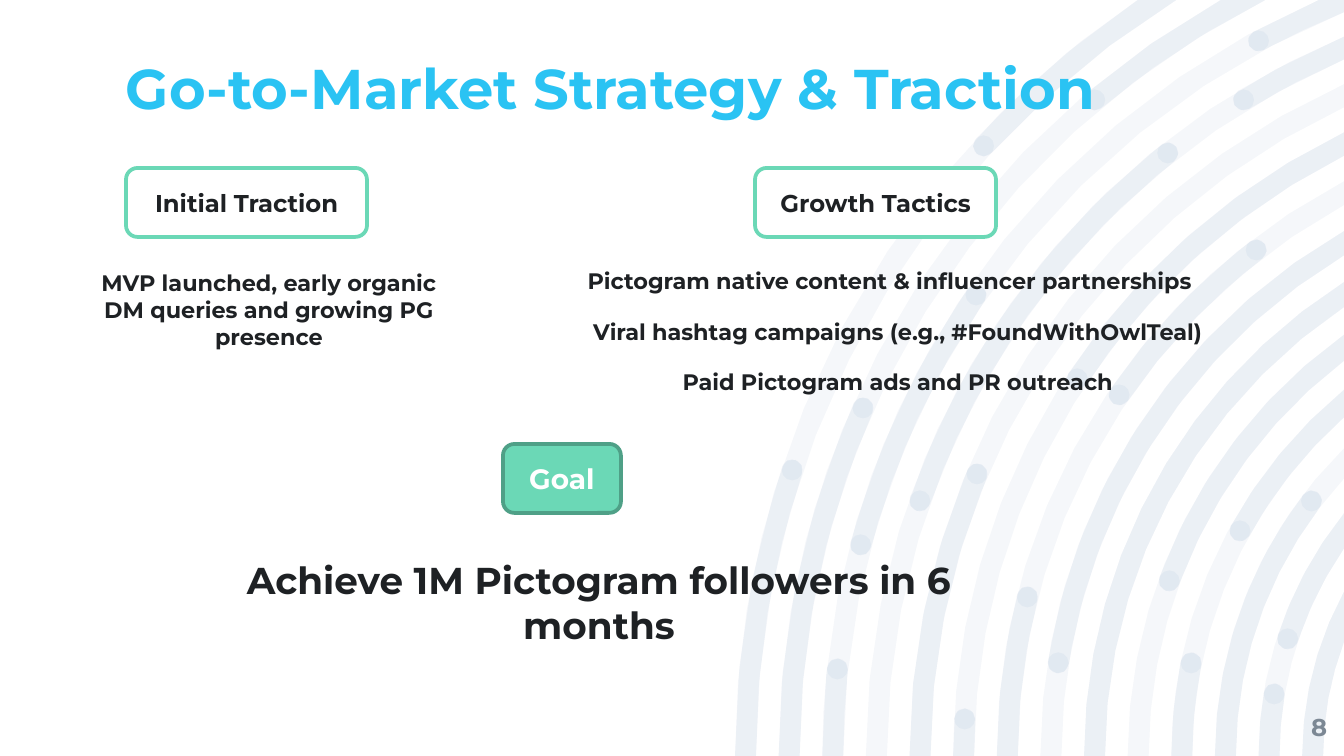
"""Build the go-to-market slide: title, tactics, goal and a backdrop of concentric arcs."""
import math
from dataclasses import dataclass

import pptx
import pptx.dml.color
import pptx.enum.shapes
import pptx.enum.text
import pptx.oxml
import pptx.oxml.ns
import pptx.util

WIDTH, HEIGHT = 1344, 756
PX = 9144000 / WIDTH
ALIGN = pptx.enum.text.PP_ALIGN
ANCHOR = pptx.enum.text.MSO_ANCHOR
AUTO = pptx.enum.text.MSO_AUTO_SIZE


@dataclass(frozen=True)
class Theme:
    font: str = "Montserrat"
    sky: str = "2AC3F3"
    gray: str = "7C8894"
    ink: str = "1E2124"
    white: str = "FFFFFF"
    mint: str = "6BD8B6"
    green: str = "4FA087"
    arc: str = "004591"
    arc_opacity: int = 4
    title: int = 30
    goal: int = 20
    goal_label: int = 15
    label: int = 13
    body: int = 12
    outline: int = 2


THEME = Theme()

TITLE = ("Go-to-Market Strategy & Traction", (126, 64, 1093, 58))
PAGE_NUMBER = ("8", (1246, 698, 81, 58))
STATEMENTS = [
    ("MVP launched, early organic DM queries and growing PG presence", (73, 263, 392, 67), THEME.body),
    ("Pictogram native content & influencer partnerships", (554, 261, 672, 40), THEME.body),
    ("Viral hashtag campaigns (e.g., #FoundWithOwlTeal)", (562, 312, 672, 40), THEME.body),
    ("Paid Pictogram ads and PR outreach", (562, 362, 672, 40), THEME.body),
    ("Achieve 1M Pictogram followers in 6 months", (155, 551, 888, 59), THEME.goal),
]
LABELS = [
    ("Initial Traction", (126, 168, 241, 69), THEME.white, THEME.mint, THEME.ink, THEME.label),
    ("Growth Tactics", (755, 168, 241, 69), THEME.white, THEME.mint, THEME.ink, THEME.label),
    ("Goal", (503, 444, 118, 69), THEME.mint, THEME.green, THEME.white, THEME.goal_label),
]

CENTER_X = 1646
RING_COUNT, RING_RADIUS, RING_STEP, HALF_BAND = 14, 900.5, 43.63, 10.5
ARC_STEP, CAP_STEPS, DOT_STEPS = 0.1, 4, 12
FLOOR, EDGE = HEIGHT, 0
CORNER = (math.hypot(CENTER_X - WIDTH, HEIGHT), math.atan2(HEIGHT, CENTER_X - WIDTH))
ACCENTS = [
    (0, FLOOR, 470), (0, 146, EDGE), (1, FLOOR, 408), (1, 100, EDGE),
    (2, FLOOR, 669), (2, 545, 295), (2, 41, EDGE), (3, 501, 153), (3, 100, EDGE),
    (4, FLOOR, 474), (5, FLOOR, 719), (5, 379, EDGE), (6, FLOOR, 597), (6, 395, 250),
    (7, 663, EDGE), (8, FLOOR, EDGE), (9, 581, EDGE), (10, FLOOR, 663), (10, 531, EDGE),
    (11, FLOOR, 501), (12, FLOOR, 694), (12, 639, EDGE), (13, FLOOR, EDGE),
]


def color(value):
    return pptx.dml.color.RGBColor.from_string(value)


def apply(target, values):
    for name, value in values.items():
        setattr(target, name, value)


def emu(box):
    return [round(length * PX) for length in box]


def mid_radius(ring):
    return RING_RADIUS - ring * RING_STEP


def angle_at(ring, y):
    return math.asin((HEIGHT - y) / mid_radius(ring))


def edge_angle(radius):
    return min(math.acos((CENTER_X - WIDTH) / radius), math.asin(min(1, HEIGHT / radius)))


def to_point(radius, angle):
    return emu((CENTER_X - radius * math.cos(angle), HEIGHT - radius * math.sin(angle)))


def round_end(radius, angle, direction):
    turns = [math.pi * step / CAP_STEPS for step in range(1, CAP_STEPS)]
    return [(radius + direction * HALF_BAND * math.cos(turn),
             angle + direction * HALF_BAND * math.sin(turn) / radius) for turn in turns]


def band(ring, low, high):
    radius = mid_radius(ring)
    sides = []
    for side in (radius + HALF_BAND, radius - HALF_BAND):
        start = 0 if low == FLOOR else angle_at(ring, low)
        end = edge_angle(side) if high == EDGE else angle_at(ring, high)
        count = math.ceil((end - start) / ARC_STEP)
        sides.append([(side, start + (end - start) * step / count) for step in range(count + 1)])
    outer, inner = sides
    if high != EDGE:
        top = round_end(radius, outer[-1][1], 1)
    else:
        top = [CORNER] if abs(CORNER[0] - radius) < HALF_BAND else []
    bottom = [] if low == FLOOR else round_end(radius, outer[0][1], -1)
    return [to_point(*polar) for polar in outer + top + inner[::-1] + bottom]


def dot(ring, y):
    x = CENTER_X - mid_radius(ring) * math.cos(angle_at(ring, y))
    turns = [2 * math.pi * step / DOT_STEPS for step in range(DOT_STEPS)]
    return [emu((x + HALF_BAND * math.cos(turn), y + HALF_BAND * math.sin(turn))) for turn in turns]


def add_tinted(slide, contours):
    builder = slide.shapes.build_freeform(*contours[0][0], scale=1.0)
    for number, contour in enumerate(contours):
        if number:
            builder.move_to(*contour[0])
        builder.add_line_segments(contour[1:], close=True)
    shape = builder.convert_to_shape()
    shape.shadow.inherit = False
    shape.fill.solid()
    shape.fill.fore_color.rgb = color(THEME.arc)
    shape.line.fill.background()
    swatch = shape.element.spPr.find(".//" + pptx.oxml.ns.qn("a:srgbClr"))
    swatch.append(pptx.oxml.parse_xml(
        f'<a:alpha {pptx.oxml.ns.nsdecls("a")} val="{THEME.arc_opacity * 1000}"/>'))


def write(shape, text, size, ink, align, frame_format, line_spacing=None):
    apply(shape.text_frame, {"word_wrap": True, **frame_format})
    paragraph = shape.text_frame.paragraphs[0]
    apply(paragraph, {"alignment": align, "line_spacing": line_spacing})
    run = paragraph.add_run()
    run.text = text
    apply(run.font, {"name": THEME.font, "size": pptx.util.Pt(size), "bold": True})
    run.font.color.rgb = color(ink)


def add_text(slide, text, box, *style):
    write(slide.shapes.add_textbox(*emu(box)), text, *style)


def add_label(slide, text, box, fill, outline, ink, size):
    shape = slide.shapes.add_shape(pptx.enum.shapes.MSO_SHAPE.ROUNDED_RECTANGLE, *emu(box))
    shape.shadow.inherit = False
    shape.fill.solid()
    shape.fill.fore_color.rgb = color(fill)
    shape.line.color.rgb = color(outline)
    shape.line.width = pptx.util.Pt(THEME.outline)
    write(shape, text, size, ink, ALIGN.CENTER, {"vertical_anchor": ANCHOR.MIDDLE})


def main():
    presentation = pptx.Presentation()
    apply(presentation, {"slide_width": round(WIDTH * PX), "slide_height": round(HEIGHT * PX)})
    slide = presentation.slides.add_slide(presentation.slide_layouts[6])
    add_tinted(slide, [band(ring, FLOOR, EDGE) for ring in range(RING_COUNT)])
    add_tinted(slide, [band(*accent) for accent in ACCENTS])
    add_tinted(slide, [dot(ring, y) for ring, *ends in ACCENTS for y in ends if y not in (FLOOR, EDGE)])
    flush = {f"margin_{side}": 0 for side in ("left", "top", "right", "bottom")}
    add_text(slide, *TITLE, THEME.title, THEME.sky, ALIGN.LEFT,
             {**flush, "vertical_anchor": ANCHOR.BOTTOM}, 0.9)
    add_text(slide, *PAGE_NUMBER, THEME.label, THEME.gray, ALIGN.RIGHT,
             {**flush, "vertical_anchor": ANCHOR.MIDDLE})
    for text, box, size in STATEMENTS:
        add_text(slide, text, box, size, THEME.ink, ALIGN.CENTER,
                 {"auto_size": AUTO.SHAPE_TO_FIT_TEXT})
    for label in LABELS:
        add_label(slide, *label)
    presentation.save("out.pptx")


if __name__ == "__main__":
    main()
